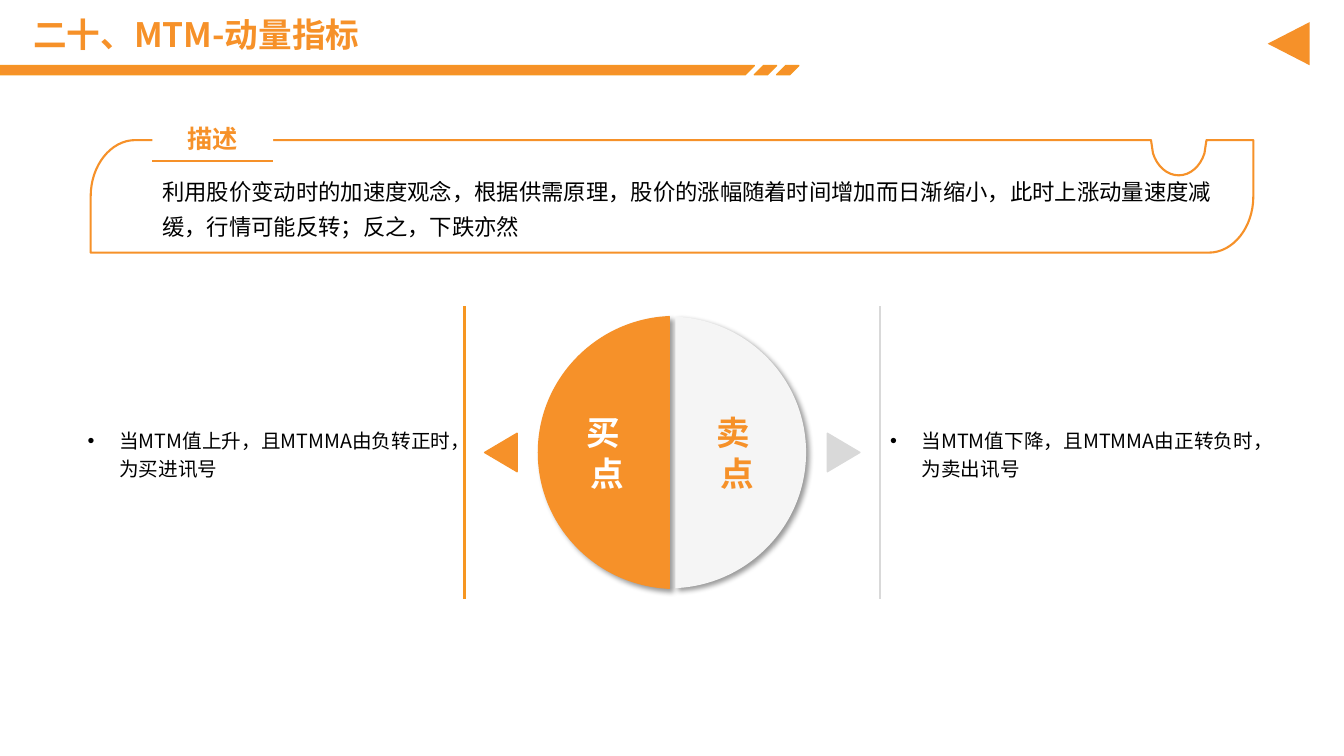
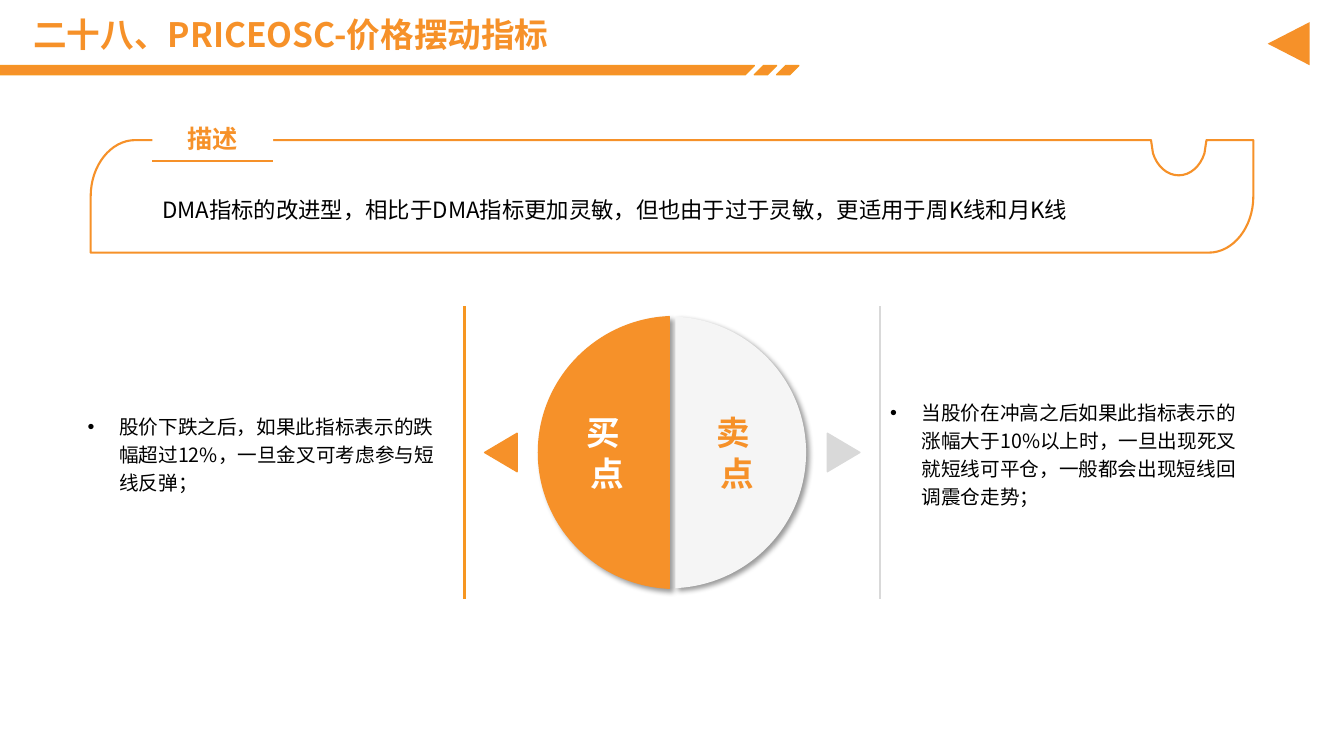
from dataclasses import dataclass

from lxml.etree import SubElement
from pptx import Presentation
from pptx.dml.color import RGBColor
from pptx.enum.shapes import MSO_CONNECTOR, MSO_SHAPE
from pptx.enum.text import MSO_ANCHOR, MSO_AUTO_SIZE, PP_ALIGN
from pptx.oxml.ns import qn
from pptx.util import Pt


@dataclass(frozen=True)
class Theme:
    font: str = "Noto Sans CJK SC"
    language: str = "zh-CN"
    orange: str = "F69129"
    orange_edge: str = "F69621"
    silver: str = "D9D9D9"
    pale: str = "F5F5F5"
    white: str = "FFFFFF"
    black: str = "000000"
    title_size: int = 24
    tab_size: int = 18
    text_size: int = 16
    list_size: int = 14
    thin: float = 1
    rule: float = 1.5


@dataclass(frozen=True)
class Box:
    x: float
    y: float
    w: float
    h: float

    @property
    def lengths(self):
        return Pt(self.x), Pt(self.y), Pt(self.w), Pt(self.h)

    @property
    def right(self):
        return self.x + self.w

    @property
    def bottom(self):
        return self.y + self.h

    @property
    def center(self):
        return self.x + self.w / 2, self.y + self.h / 2


THEME = Theme()

TITLE_BOX = Box(16.6, 10.8, 877.7, 31)
BAND_BOX = Box(0, 46.8, 570.6, 6.6)
BACK_BOX = Box(905.5, 15.8, 30, 30.8)
DESCRIPTION_BOX = Box(64.8, 100.1, 830.5, 80.4)
SIGNALS_BOX = Box(55.4, 216.7, 848, 213)

INDICATORS = [
    (
        "二十、MTM-动量指标",
        "利用股价变动时的加速度观念，根据供需原理，股价的涨幅随着时间增加而日渐缩小，此时上涨动量速度减缓，行情可能反转；反之，下跌亦然",
        "当MTM值上升，且MTMMA由负转正时，为买进讯号",
        "当MTM值下降，且MTMMA由正转负时，为卖出讯号",
    ),
    (
        "二十八、PRICEOSC-价格摆动指标",
        "DMA指标的改进型，相比于DMA指标更加灵敏，但也由于过于灵敏，更适用于周K线和月K线",
        "股价下跌之后，如果此指标表示的跌幅超过12%，一旦金叉可考虑参与短线反弹；",
        "当股价在冲高之后如果此指标表示的涨幅大于10%以上时，一旦出现死叉就短线可平仓，一般都会出现短线回调震仓走势；",
    ),
]


def write(holder, text, *, size, color=THEME.black, bold=False, align=PP_ALIGN.LEFT,
          spacing=1.0, after=0, bottom=3.6, hanging=0):
    frame = holder.text_frame
    frame.word_wrap = True
    frame.auto_size = MSO_AUTO_SIZE.NONE
    frame.vertical_anchor = MSO_ANCHOR.MIDDLE
    frame.margin_bottom = Pt(bottom)
    frame.text = text
    for paragraph in frame.paragraphs:
        paragraph.alignment = align
        paragraph.line_spacing = spacing
        paragraph.space_before = Pt(0)
        paragraph.space_after = Pt(after)
        if hanging:
            properties = paragraph._p.get_or_add_pPr()
            properties.set("marL", str(Pt(hanging)))
            properties.set("indent", str(Pt(-hanging)))
        for run in paragraph.runs:
            run.font.name = THEME.font
            run.font.size = Pt(size)
            run.font.bold = bold
            run.font.color.rgb = RGBColor.from_string(color)
            run.font._element.set("lang", THEME.language)
            SubElement(run.font._element, qn("a:ea"), typeface=THEME.font)


def paint(shape, fill=None, line=None, width=THEME.thin):
    shape.shadow.inherit = False
    if fill:
        shape.fill.solid()
        shape.fill.fore_color.rgb = RGBColor.from_string(fill)
    else:
        shape.fill.background()
    if line:
        shape.line.color.rgb = RGBColor.from_string(line)
        shape.line.width = Pt(width)
    else:
        shape.line.fill.background()
    return shape


def cast_shadow(shape):
    effects = shape.element.spPr.find(qn("a:effectLst"))
    shadow = SubElement(effects, qn("a:outerShdw"), blurRad=str(Pt(4)), dist=str(Pt(3)),
                        dir=str(45 * 60000), algn="tl", rotWithShape="0")
    tint = SubElement(shadow, qn("a:srgbClr"), val=THEME.black)
    SubElement(tint, qn("a:alpha"), val="40000")


def bend(shape, segments):
    lines = iter(list(shape.element.iter(qn("a:lnTo"))))
    for segment in segments:
        legs = [next(lines) for _ in segment]
        if len(legs) == 3:
            outline = legs[0].getparent()
            curve = outline.makeelement(qn("a:cubicBezTo"))
            legs[0].addprevious(curve)
            for leg in legs:
                curve.append(leg[0])
                outline.remove(leg)


def add_outline(shapes, start, segments, **look):
    builder = shapes.build_freeform(Pt(start[0]), Pt(start[1]))
    vertices = [(Pt(x), Pt(y)) for segment in segments for x, y in segment]
    builder.add_line_segments(vertices, close=True)
    shape = builder.convert_to_shape()
    bend(shape, segments)
    return paint(shape, **look)


def round_corner(start, corner, end):
    def toward_corner(point):
        return tuple(p + 0.55 * (c - p) for p, c in zip(point, corner))

    return [toward_corner(start), toward_corner(end), end]


def add_rule(shapes, x1, y1, x2, y2, color):
    rule = shapes.add_connector(MSO_CONNECTOR.STRAIGHT, Pt(x1), Pt(y1), Pt(x2), Pt(y2))
    rule.line.color.rgb = RGBColor.from_string(color)
    rule.line.width = Pt(THEME.rule)
    SubElement(rule.element.spPr, qn("a:effectLst"))


def add_pointer(shapes, box, side, color, line=None):
    cx, cy = box.center
    upright = Box(cx - box.h / 2, cy - box.w / 2, box.h, box.w)
    pointer = shapes.add_shape(MSO_SHAPE.ISOSCELES_TRIANGLE, *upright.lengths)
    pointer.rotation = 90 if side > 0 else 270
    paint(pointer, color, line)


def fit(placeholder, box):
    placeholder.left, placeholder.top, placeholder.width, placeholder.height = box.lengths
    return placeholder


def add_band(slide, box):
    slant, stripe, pitch = 6.6, 9.3, 15.9
    bar_end = box.right - 2 * pitch
    bar = [(box.x, box.y), (bar_end, box.y), (bar_end - slant, box.bottom), (box.x, box.bottom)]
    stripes = [
        [(right - stripe, box.y), (right, box.y),
         (right - slant, box.bottom), (right - slant - stripe, box.bottom)]
        for right in (box.right - pitch, box.right)
    ]
    for start, *corners in (bar, *stripes):
        add_outline(slide.shapes, start, [[corner] for corner in corners],
                    fill=THEME.orange, line=THEME.orange_edge)


def add_header(slide, title):
    add_band(slide, BAND_BOX)
    write(fit(slide.shapes.title, TITLE_BOX), title, size=THEME.title_size,
          color=THEME.orange, bold=True, spacing=0.9)
    add_pointer(slide.shapes, BACK_BOX, -1, THEME.orange)


def add_description(slide, box, description):
    corner_w, corner_h = 31.9, 40.2
    notch_x = box.right - 53.3
    start = (box.x + corner_w, box.y)

    def notch(dx, dy):
        return notch_x + dx, box.y + dy

    segments = [
        [notch(-19.8, 0)],
        [notch(-18.4, 9.4)],
        [notch(-15.5, 18.7), notch(-8.3, 25.2), notch(0, 25.2)],
        [notch(8.3, 25.2), notch(15.5, 18.7), notch(18.4, 9.4)],
        [notch(19.8, 0)],
        [(box.right, box.y)],
        [(box.right, box.y + corner_h)],
        round_corner((box.right, box.bottom - corner_h), (box.right, box.bottom),
                     (box.right - corner_w, box.bottom)),
        [(box.x, box.bottom)],
        [(box.x, box.y + corner_h)],
        round_corner((box.x, box.y + corner_h), (box.x, box.y), start),
    ]
    add_outline(slide.shapes, start, segments, line=THEME.orange, width=THEME.rule)

    body = Box(box.x + 44, box.y + 24.5, 772, 46)
    write(slide.shapes.add_textbox(*body.lengths), description,
          size=THEME.text_size, spacing=1.3, bottom=5.8)

    tab = Box(body.x, box.y - 16.4, 86.4, 31)
    heading = paint(slide.shapes.add_shape(MSO_SHAPE.RECTANGLE, *tab.lengths), THEME.white)
    write(heading, "描述", size=THEME.tab_size, color=THEME.orange, bold=True,
          align=PP_ALIGN.CENTER)
    add_rule(slide.shapes, tab.x, tab.bottom, tab.right, tab.bottom, THEME.orange)


def add_half(disc, center, side, fill, line):
    cx, cy = center

    def rim(dx, dy):
        return cx + side * (2.2 + dx), cy + dy

    segments = [
        [rim(0, 97)],
        [rim(6, 96.5)],
        [rim(54.9, 91.4), rim(93.4, 50.2), rim(93.4, 0)],
        [rim(93.4, -50.2), rim(54.9, -91.4), rim(6, -96.5)],
    ]
    cast_shadow(add_outline(disc.shapes, rim(0, -97), segments, fill=fill, line=line))


def add_half_label(disc, center, side, label, color):
    cx, cy = center
    label_box = Box(cx + side * 46.4 - 43.2, cy - 36.4, 86.4, 72.8)
    write(disc.shapes.add_textbox(*label_box.lengths), label, size=THEME.title_size,
          color=color, bold=True, align=PP_ALIGN.CENTER)


def add_signals(slide, box, buy, sell):
    cx, cy = box.x + 424.8, box.center[1]
    list_width = 274.8
    sides = [
        (-1, box.x, buy, THEME.orange, THEME.orange_edge),
        (1, box.right - list_width, sell, THEME.silver, THEME.silver),
    ]
    lists = list(slide.placeholders)[1:]
    for placeholder, (side, left, signal, color, edge) in zip(lists, sides):
        fit(placeholder, Box(left, box.y, list_width, box.h))
        write(placeholder, signal, size=THEME.list_size, spacing=1.2, after=6, hanging=22.5)
        pointer_box = Box(cx + side * 122.4 - 11.6, cy - 13.7, 23.2, 27.4)
        add_pointer(slide.shapes, pointer_box, side, color, color)
        rule_x = cx + side * 148.4
        add_rule(slide.shapes, rule_x, cy - 104.4, rule_x, cy + 104.4, edge)

    disc = slide.shapes.add_group_shape()
    add_half(disc, (cx, cy), -1, THEME.orange, THEME.orange)
    add_half(disc, (cx, cy), 1, THEME.pale, None)
    add_half_label(disc, (cx, cy), -1, "买 \n点", THEME.white)
    add_half_label(disc, (cx, cy), 1, "卖 \n点", THEME.orange)


def add_indicator_slide(deck, title, description, buy, sell):
    slide = deck.slides.add_slide(deck.slide_layouts.get_by_name("Two Content"))
    add_header(slide, title)
    add_description(slide, DESCRIPTION_BOX, description)
    add_signals(slide, SIGNALS_BOX, buy, sell)


def main():
    deck = Presentation()
    deck.slide_width, deck.slide_height = Pt(960), Pt(540)
    for indicator in INDICATORS:
        add_indicator_slide(deck, *indicator)
    deck.save("out.pptx")


if __name__ == "__main__":
    main()
